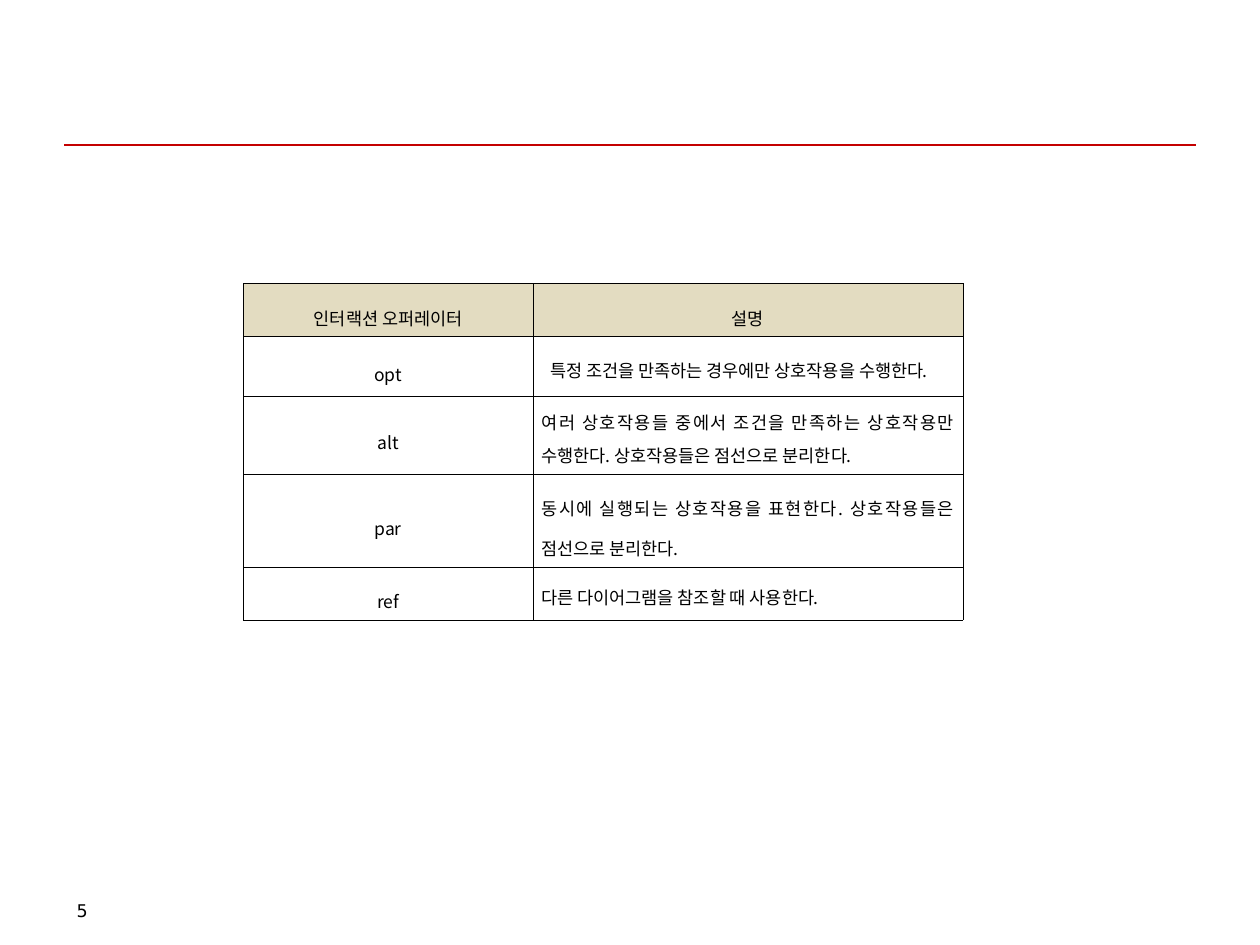
from lxml import etree
from pptx import Presentation
from pptx.dml.color import RGBColor
from pptx.enum.shapes import MSO_CONNECTOR
from pptx.enum.text import MSO_ANCHOR, PP_ALIGN
from pptx.oxml.ns import qn
from pptx.util import Inches, Pt

STRAIGHT = MSO_CONNECTOR.STRAIGHT
MIDDLE = MSO_ANCHOR.MIDDLE
CENTER, JUSTIFY = PP_ALIGN.CENTER, PP_ALIGN.JUSTIFY

WIDTH, HEIGHT = 10, 7.5
MARGIN = 0.51
COLORS = {"rule": "C40000", "head": "E3DCC1", "text": "000000"}
KOREAN, LATIN = "Noto Sans CJK KR", "DejaVu Sans"
COLS = [2.3, 3.41]
ROWS = [0.31, 0.47, 0.47, 0.57, 0.31]
HEAD = ("인터랙션 오퍼레이터", "설명")
ITEMS = [
    ("opt", "특정 조건을 만족하는 경우에만 상호작용을 수행한다.", 1.3, 0.07),
    ("alt", "여러 상호작용들 중에서 조건을 만족하는 상호작용만 수행한다. "
            "상호작용들은 점선으로 분리한다.", 1.3, 0),
    ("par", "동시에 실행되는 상호작용을 표현한다. "
            "상호작용들은 점선으로 분리한다.", 1.6, 0),
    ("ref", "다른 다이어그램을 참조할 때 사용한다.", 1.3, 0),
]


def color(name):
    return RGBColor.from_string(COLORS[name])


def style(par, face):
    for run in par.runs:
        run.font.size = Pt(10)
        run.font.name = face
        run.font.bold = False
        run.font.color.rgb = color("text")
        east = etree.SubElement(run.font._element, qn("a:ea"))
        east.set("typeface", face)


def add_rule(slide):
    top = Inches(1.15)
    line = slide.shapes.add_connector(
        STRAIGHT, Inches(MARGIN), top, Inches(WIDTH - MARGIN), top)
    line.line.color.rgb = color("rule")
    line.line.width = Pt(0.75)
    etree.SubElement(line._element.spPr, qn("a:effectLst"))


def add_edges(cell):
    props = cell._tc.get_or_add_tcPr()
    for spot, side in enumerate(("lnL", "lnR", "lnT", "lnB")):
        edge = etree.Element(qn("a:" + side), w=str(Pt(0.11)))
        fill = etree.SubElement(edge, qn("a:solidFill"))
        etree.SubElement(fill, qn("a:srgbClr"), val=COLORS["text"])
        props.insert(spot, edge)


def fill_cell(cell, text, align=CENTER, space=1.6, indent=0, head=False):
    cell.margin_left = cell.margin_right = Inches(0.07)
    cell.margin_top = cell.margin_bottom = Inches(0.05)
    cell.vertical_anchor = MIDDLE
    if head:
        cell.fill.solid()
        cell.fill.fore_color.rgb = color("head")
    else:
        cell.fill.background()
    add_edges(cell)
    cell.text_frame.text = text
    par = cell.text_frame.paragraphs[0]
    par.alignment = align
    par.line_spacing = space
    par._p.get_or_add_pPr().set("marL", str(Inches(indent)))
    style(par, KOREAN)


def add_grid(slide):
    frame = slide.shapes.add_table(
        len(ROWS), len(COLS), Inches(1.93), Inches(2.25),
        Inches(sum(COLS)), Inches(sum(ROWS)))
    table = frame.table
    table.first_row = table.horz_banding = False
    for col, size in zip(table.columns, COLS):
        col.width = Inches(size)
    for row, size in zip(table.rows, ROWS):
        row.height = Inches(size)
    for col, text in enumerate(HEAD):
        fill_cell(table.cell(0, col), text, head=True)
    for row, (name, note, space, indent) in enumerate(ITEMS, 1):
        fill_cell(table.cell(row, 0), name)
        fill_cell(table.cell(row, 1), note, JUSTIFY, space, indent)


def add_number(slide, text):
    box = slide.shapes.add_textbox(
        Inches(MARGIN), Inches(7.09), Inches(2.33), Inches(0.28))
    box.text_frame.word_wrap = True
    box.text_frame.text = text
    style(box.text_frame.paragraphs[0], LATIN)


def main():
    deck = Presentation()
    deck.slide_width, deck.slide_height = Inches(WIDTH), Inches(HEIGHT)
    slide = deck.slides.add_slide(deck.slide_layouts[6])
    add_rule(slide)
    add_grid(slide)
    add_number(slide, "5")
    deck.save("out.pptx")


if __name__ == "__main__":
    main()
